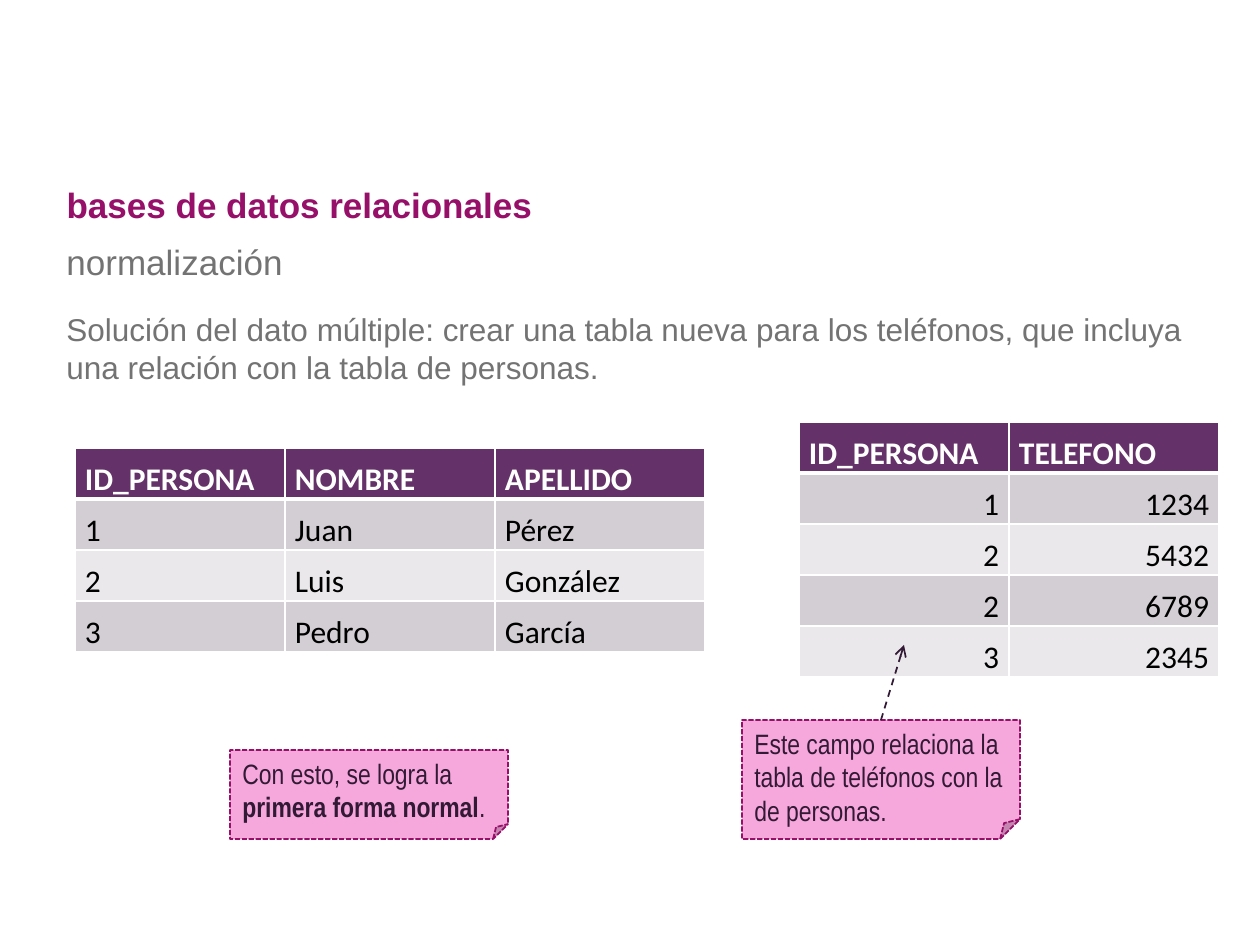
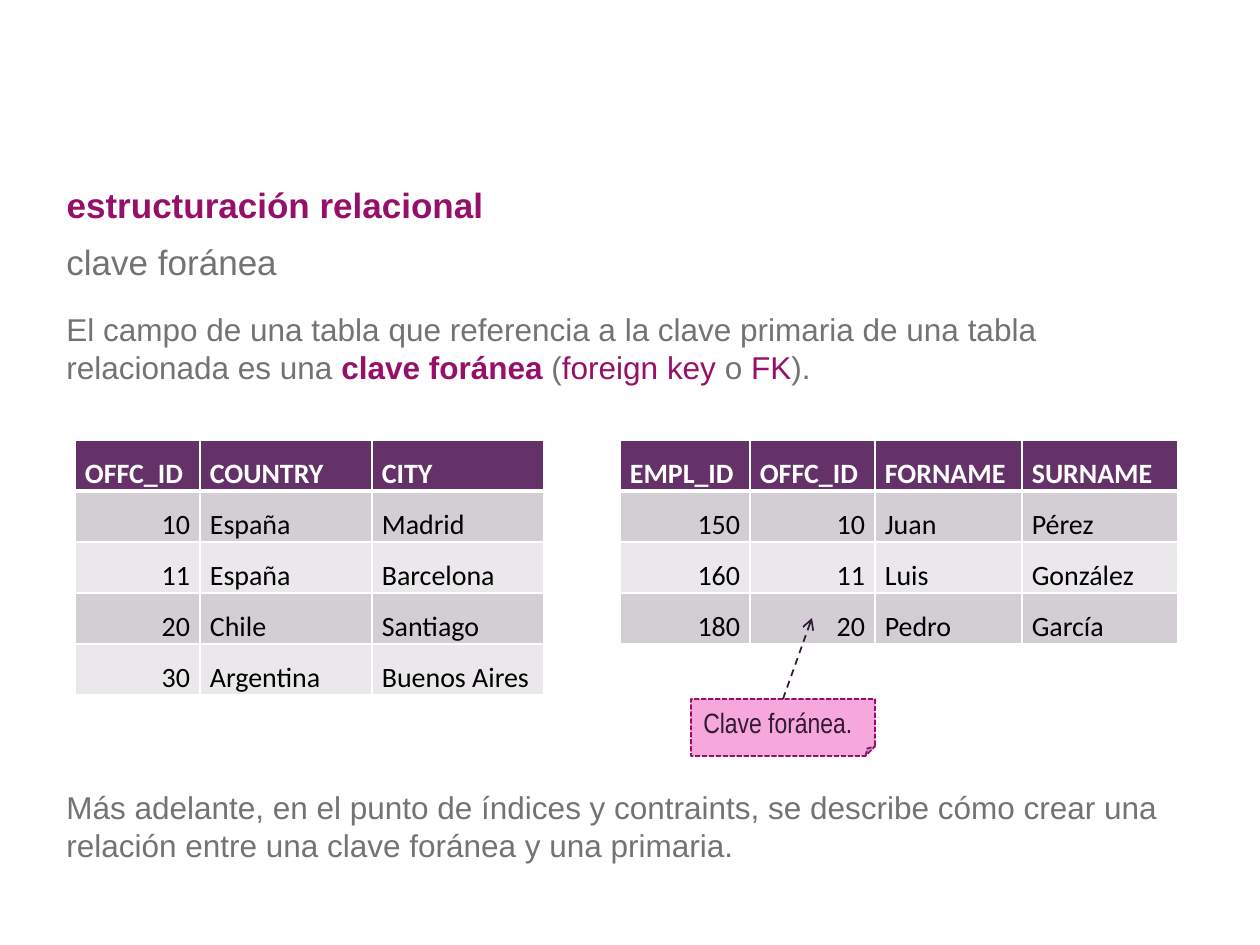
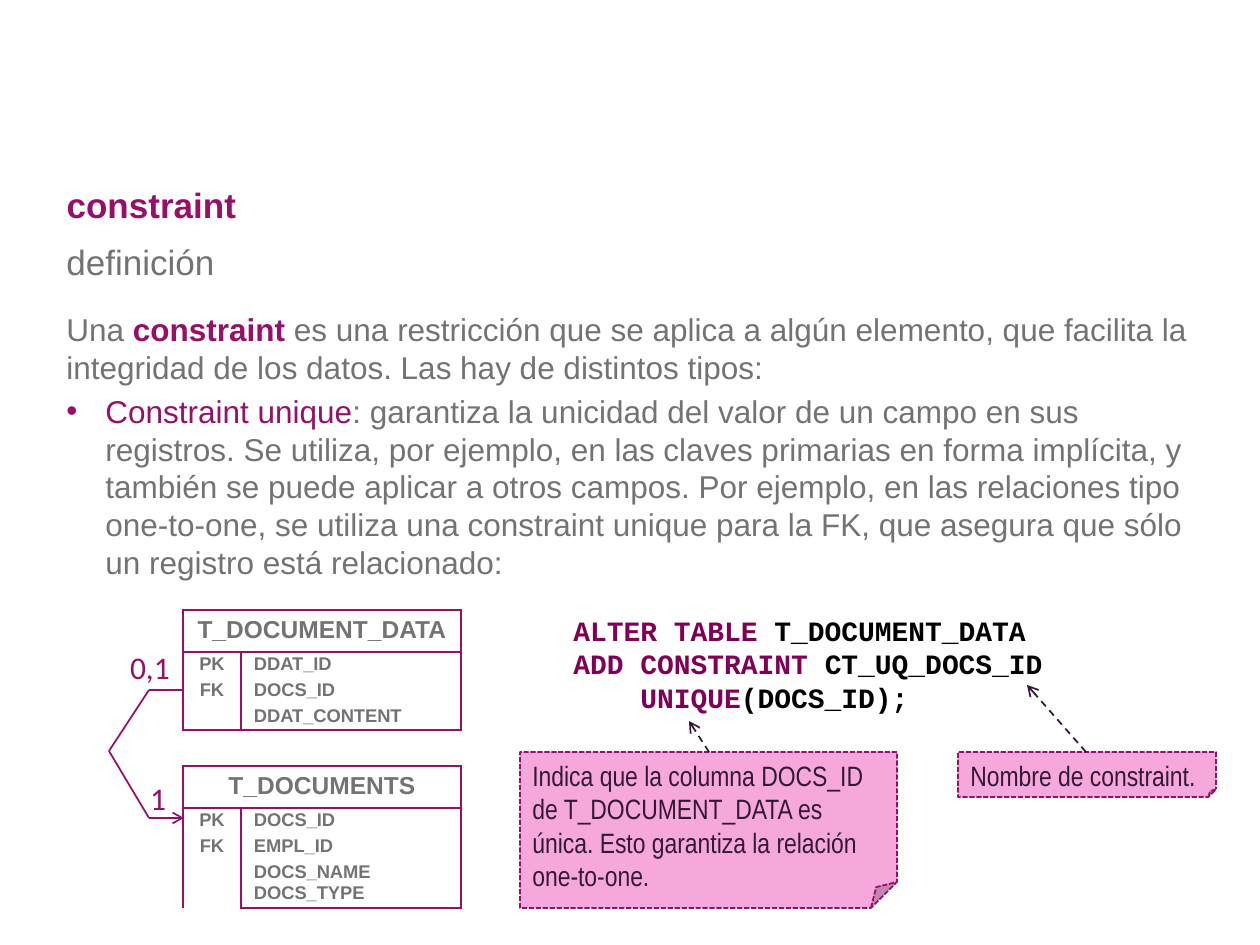
import pptx
import pptx.dml.color
import pptx.enum.dml
import pptx.enum.shapes
import pptx.enum.text
import pptx.oxml.xmlchemy
import pptx.util
from lxml import etree
from pptx.oxml.ns import qn

RGBColor = pptx.dml.color.RGBColor
MAGENTA = RGBColor(0x96, 0x0F, 0x68)
GREY = RGBColor(0x73, 0x73, 0x73)
PURPLE = RGBColor(0x64, 0x32, 0x69)
DARK = RGBColor(0x32, 0x19, 0x35)
PINK = RGBColor(0xF6, 0xA8, 0xDC)
KEYWORD = RGBColor(0x7F, 0x00, 0x55)
BLACK = RGBColor(0x00, 0x00, 0x00)
WHITE = RGBColor(0xFF, 0xFF, 0xFF)
BANDS = [RGBColor(0xEA, 0xE8, 0xEB), RGBColor(0xD3, 0xCE, 0xD4)]

ALIGN = pptx.enum.text.PP_ALIGN
ANCHOR = pptx.enum.text.MSO_ANCHOR
DASH = pptx.enum.dml.MSO_LINE
Pt = pptx.util.Pt

EMU_PER_PX = 914400 / 126
TITLE_BOX = (54, 175, 1142, 59)
SUBTITLE_BOX = (54, 234, 1142, 59)
BODY_BOX = (54, 304, 1155, 576)
ROW_HEIGHT = 51
SCHEMA_COLUMNS = (58, 220)
SCHEMA_HEADER, SCHEMA_LINE, SCHEMA_PADDING = 41, 21, 5

BODY = ("Arial", 18, GREY)
NOTE = ("Arial Narrow", 16, DARK)
CODE = ("Courier New", 16, BLACK)
CARDINALITY = ("Calibri", 18, MAGENTA)

SLIDES = [
    {
        "title": "bases de datos relacionales",
        "subtitle": "normalización",
        "body": [
            {"runs": [("Solución del dato múltiple: crear una tabla nueva para los teléfonos, "
                       "que incluya una relación con la tabla de personas.",)]},
        ],
        "tables": [
            {"at": (75, 448), "columns": (210, 210, 210), "size": 18, "numeric": 0, "rows": [
                ("ID_PERSONA", "NOMBRE", "APELLIDO"),
                ("1", "Juan", "Pérez"),
                ("2", "Luis", "González"),
                ("3", "Pedro", "García")]},
            {"at": (799, 422), "columns": (210, 210), "size": 18, "numeric": 2, "rows": [
                ("ID_PERSONA", "TELEFONO"),
                ("1", "1234"), ("2", "5432"), ("2", "6789"), ("3", "2345")]},
        ],
        "notes": [
            {"at": (742, 720, 278, 119), "arrow": (881, 720, 904, 645),
             "runs": [("Este campo relaciona la tabla de teléfonos con la de personas.",)]},
            {"at": (230, 750, 278, 89),
             "runs": [("Con esto, se logra la ",), ("primera forma normal", DARK, True), (".",)]},
        ],
    },
    {
        "title": "estructuración relacional",
        "subtitle": "clave foránea",
        "body": [
            {"runs": [("El campo de una tabla que referencia a la clave primaria de una tabla "
                       "relacionada es una ",),
                      ("clave foránea", MAGENTA, True), (" (",), ("foreign key", MAGENTA),
                      (" o ",), ("FK", MAGENTA), (").",)]},
            {"before": 402,
             "runs": [("Más adelante, en el punto de índices y contraints, se describe cómo "
                       "crear una relación entre una clave foránea y una primaria.",)]},
        ],
        "tables": [
            {"at": (620, 440), "columns": (130, 125, 147, 156), "size": 16, "numeric": 2, "rows": [
                ("EMPL_ID", "OFFC_ID", "FORNAME", "SURNAME"),
                ("150", "10", "Juan", "Pérez"),
                ("160", "11", "Luis", "González"),
                ("180", "20", "Pedro", "García")]},
            {"at": (75, 440), "columns": (125, 172, 172), "size": 16, "numeric": 1, "rows": [
                ("OFFC_ID", "COUNTRY", "CITY"),
                ("10", "España", "Madrid"),
                ("11", "España", "Barcelona"),
                ("20", "Chile", "Santiago"),
                ("30", "Argentina", "Buenos Aires")]},
        ],
        "notes": [
            {"at": (691, 699, 184, 57), "arrow": (783, 699, 812, 618),
             "runs": [("Clave foránea.",)]},
        ],
    },
    {
        "title": "constraint",
        "subtitle": "definición",
        "body": [
            {"runs": [("Una ",), ("constraint", MAGENTA, True),
                      (" es una restricción que se aplica a algún elemento, que facilita la "
                       "integridad de los datos. Las hay de distintos tipos:",)]},
            {"bullet": "•", "indent": 39, "before": 6,
             "runs": [("Constraint unique", MAGENTA),
                      (": garantiza la unicidad del valor de un campo en sus registros. Se "
                       "utiliza, por ejemplo, en las claves primarias en forma implícita, y "
                       "también se puede aplicar a otros campos. Por ejemplo, en las relaciones "
                       "tipo one-to-one, se utiliza una constraint unique para la FK, que asegura "
                       "que sólo un registro está relacionado:",)]},
        ],
        "schemas": [
            {"at": (183, 766), "name": "T_DOCUMENTS", "merge_last_key": True, "fields": [
                ("PK", ["DOCS_ID"]), ("FK", ["EMPL_ID"]), ("", ["DOCS_NAME", "DOCS_TYPE"])]},
            {"at": (183, 610), "name": "T_DOCUMENT_DATA", "merge_last_key": False, "fields": [
                ("PK", ["DDAT_ID"]), ("FK", ["DOCS_ID"]), ("", ["DDAT_CONTENT"])]},
        ],
        "relation": [(184, 690), (149, 690), (109, 751), (149, 818), (184, 818)],
        "cardinalities": [((150, 779, 21, 38), "1"), ((130, 648, 42, 38), "0,1")],
        "code": {"at": (561, 607, 515, 118), "lines": [
            {"runs": [("ALTER TABLE ", KEYWORD, True), ("T_DOCUMENT_DATA", BLACK, True)]},
            {"runs": [("ADD CONSTRAINT ", KEYWORD, True), ("CT_UQ_DOCS_ID", BLACK, True)]},
            {"margin": 67,
             "runs": [("UNIQUE", KEYWORD, True), ("(DOCS_ID);", BLACK, True)]}]},
        "notes": [
            {"at": (520, 752, 377, 156), "arrow": (709, 752, 689, 721),
             "runs": [("Indica que la columna DOCS_ID de T_DOCUMENT_DATA es única. "
                       "Esto garantiza la relación one-to-one.",)]},
            {"at": (958, 752, 258, 45), "arrow": (1086, 752, 1027, 685),
             "runs": [("Nombre de constraint.",)]},
        ],
    },
]


def px(length):
    return pptx.util.Emu(round(length * EMU_PER_PX))


def place(box):
    return [px(length) for length in box]


def add_run(para, text, font, size, color, bold=False):
    span = para.add_run()
    span.text = text
    span.font.name = font
    span.font.size = Pt(size)
    span.font.color.rgb = color
    span.font.bold = bold


def fill_text(frame, paragraphs, style):
    font, size, base_color = style
    frame.word_wrap = True
    frame.vertical_anchor = ANCHOR.TOP
    for index, content in enumerate(paragraphs):
        para = frame.paragraphs[0] if index == 0 else frame.add_paragraph()
        para.alignment = ALIGN.LEFT
        para.space_before = px(content.get("before", 0))
        properties = para._p.get_or_add_pPr()
        indent = content.get("indent", 0)
        properties.set("marL", str(px(content.get("margin", indent))))
        properties.set("indent", str(px(-indent)))
        if "bullet" in content:
            bullet_color = etree.SubElement(properties, qn("a:buClr"))
            etree.SubElement(bullet_color, qn("a:srgbClr"), val=str(MAGENTA))
            etree.SubElement(properties, qn("a:buFont"), typeface="Arial")
            etree.SubElement(properties, qn("a:buChar"), char=content["bullet"])
        for text, *look in content["runs"]:
            color = look[0] if look else base_color
            add_run(para, text, font, size, color, len(look) > 1 and look[1])


def add_text(page, at, paragraphs, style, margin=None):
    frame = page.shapes.add_textbox(*place(at)).text_frame
    if margin is not None:
        set_margins(frame, margin, margin, margin)
    fill_text(frame, paragraphs, style)


def set_margins(target, side, top, bottom):
    target.margin_left = target.margin_right = px(side)
    target.margin_top, target.margin_bottom = px(top), px(bottom)


def add_heading(page, title, subtitle):
    heading = page.shapes.title
    heading.left, heading.top, heading.width, heading.height = place(TITLE_BOX)
    fill_text(heading.text_frame, [{"runs": [(title, MAGENTA, True)]}], ("Arial", 20, MAGENTA))
    heading.text_frame.vertical_anchor = ANCHOR.MIDDLE
    add_text(page, SUBTITLE_BOX, [{"runs": [(subtitle,)]}], ("Arial", 20, GREY))


def paint_cell(cell, fill, line_color, widths):
    properties = cell._tc.get_or_add_tcPr()
    for side in "LRTB":
        width = widths.get(side, 0)
        line = etree.SubElement(properties, qn("a:ln" + side), w=str(Pt(width)))
        if width:
            color = etree.SubElement(line, qn("a:solidFill"))
            etree.SubElement(color, qn("a:srgbClr"), val=str(line_color))
        else:
            etree.SubElement(line, qn("a:noFill"))
    cell.fill.solid()
    cell.fill.fore_color.rgb = fill


def new_table(page, at, columns, heights):
    frame = page.shapes.add_table(len(heights), len(columns),
                                  *place((*at, sum(columns), sum(heights))))
    table = frame.table
    table.first_row = table.horz_banding = False
    for column, width in zip(table.columns, columns):
        column.width = px(width)
    for row, height in zip(table.rows, heights):
        row.height = px(height)
    return table


def add_data_table(page, at, columns, size, numeric, rows):
    table = new_table(page, at, columns, [ROW_HEIGHT] * len(rows))
    for row, values in enumerate(rows):
        header = row == 0
        for column, value in enumerate(values):
            cell = table.cell(row, column)
            set_margins(cell, 10, 1, 0)
            cell.vertical_anchor = ANCHOR.BOTTOM
            para = cell.text_frame.paragraphs[0]
            para.alignment = ALIGN.RIGHT if column < numeric and not header else ALIGN.LEFT
            add_run(para, value, "Calibri", size, WHITE if header else BLACK, header)
            widths = {"L": 1, "R": 1, "T": 3 if row == 1 else 1, "B": 3 if header else 1}
            paint_cell(cell, PURPLE if header else BANDS[row % 2], WHITE, widths)


def add_schema(page, at, name, merge_last_key, fields):
    heights = [SCHEMA_HEADER] + [SCHEMA_PADDING + SCHEMA_LINE * len(names) for _, names in fields]
    table = new_table(page, at, SCHEMA_COLUMNS, heights)
    rows = [([name], [])] + [([key], names) for key, names in fields]
    for row, values in enumerate(rows):
        header = row == 0
        for column, lines in enumerate(values):
            cell = table.cell(row, column)
            widths = {"L": 1.5, "R": 1.5}
            if row < 2:
                widths["T"] = 1.5
            if header or row == len(fields):
                widths["B"] = 1.5
            paint_cell(cell, WHITE, MAGENTA, widths)
            if not header:
                set_margins(cell, 13, 2, 2)
            for index, text in enumerate(lines):
                frame = cell.text_frame
                para = frame.paragraphs[0] if index == 0 else frame.add_paragraph()
                para.alignment = ALIGN.LEFT if column else ALIGN.CENTER
                if text:
                    add_run(para, text, "Arial", 14 if header else 10.5, GREY, True)
                else:
                    etree.SubElement(para._p, qn("a:endParaRPr"), sz="1050")
    table.cell(0, 0).merge(table.cell(0, 1))
    if merge_last_key:
        table.cell(len(fields) - 1, 0).merge(table.cell(len(fields), 0))


def add_line(page, start, end, color, dashed=False, arrow=False):
    line = page.shapes.add_connector(pptx.enum.shapes.MSO_CONNECTOR.STRAIGHT,
                                     *place((*start, *end)))
    line.line.color.rgb = color
    line.line.width = Pt(1)
    if dashed:
        line.line.dash_style = DASH.DASH
    if arrow:
        etree.SubElement(line.line._get_or_add_ln(), qn("a:tailEnd"), type="arrow")
    etree.SubElement(line._element.spPr, qn("a:effectLst"))


def add_note(page, at, runs, arrow=None):
    note = page.shapes.add_shape(pptx.enum.shapes.MSO_SHAPE.FOLDED_CORNER, *place(at))
    note.shadow.inherit = False
    note.fill.solid()
    note.fill.fore_color.rgb = PINK
    note.line.color.rgb = MAGENTA
    note.line.width = Pt(1)
    note.line.dash_style = DASH.SQUARE_DOT
    fill_text(note.text_frame, [{"runs": runs}], NOTE)
    if arrow:
        add_line(page, arrow[:2], arrow[2:], DARK, dashed=True, arrow=True)


def add_page(deck, content):
    page = deck.slides.add_slide(deck.slide_layouts[5])
    add_heading(page, content["title"], content["subtitle"])
    add_text(page, BODY_BOX, content["body"], BODY)
    for table in content.get("tables", []):
        add_data_table(page, **table)
    for schema in content.get("schemas", []):
        add_schema(page, **schema)
    corners = content.get("relation", [])
    for start, end in zip(corners, corners[1:]):
        add_line(page, start, end, MAGENTA, arrow=end == corners[-1])
    for at, text in content.get("cardinalities", []):
        add_text(page, at, [{"runs": [(text,)]}], CARDINALITY, margin=0)
    if "code" in content:
        add_text(page, content["code"]["at"], content["code"]["lines"], CODE)
    for note in content["notes"]:
        add_note(page, **note)


def main():
    deck = pptx.Presentation()
    deck.slide_width, deck.slide_height = place((1260, 945))
    for content in SLIDES:
        add_page(deck, content)
    deck.save("out.pptx")


if __name__ == "__main__":
    main()
